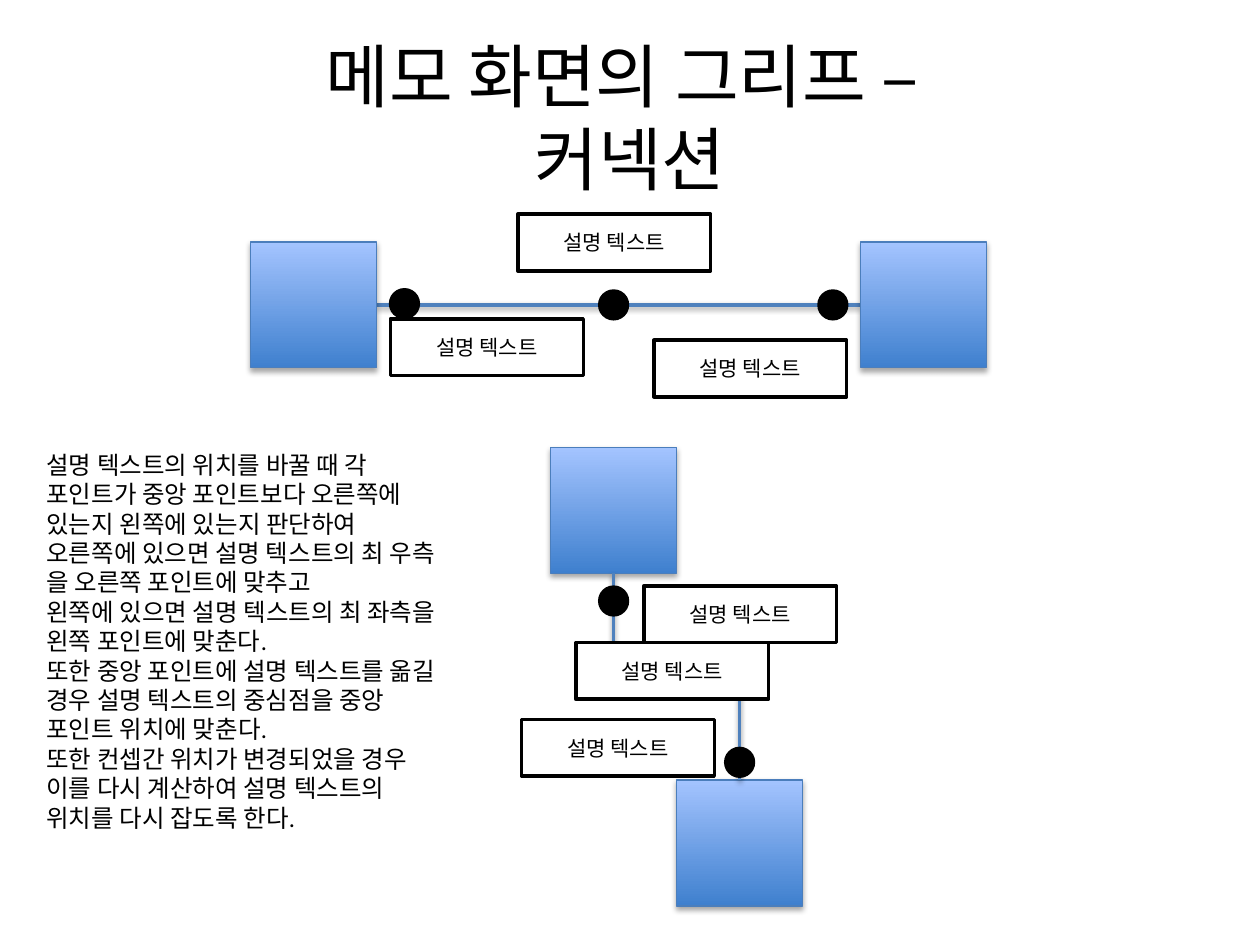
from pptx import Presentation
from pptx.dml.color import RGBColor
from pptx.enum import shapes, text
from pptx import util as u

BLACK = RGBColor(0x00, 0x00, 0x00)
WHITE = RGBColor(0xFF, 0xFF, 0xFF)
LINE_BLUE = RGBColor(0x4F, 0x81, 0xBD)
EDGE_BLUE = RGBColor(0x4B, 0x7E, 0xBC)
DEEP_BLUE = RGBColor(0x3F, 0x80, 0xCE)
PALE_BLUE = RGBColor(0xA4, 0xC4, 0xFF)

TITLE = "메모 화면의 그리프 – \v커넥션"
LABEL = "설명 텍스트"
NOTES = (
    "설명 텍스트의 위치를 바꿀 때 각 포인트가 중앙 포인트보다 오른쪽에 있는지 왼쪽에 있는지 판단하여",
    "오른쪽에 있으면 설명 텍스트의 최 우측 을 오른쪽 포인트에 맞추고",
    "왼쪽에 있으면 설명 텍스트의 최 좌측을 왼쪽 포인트에 맞춘다.",
    "또한 중앙 포인트에 설명 텍스트를 옮길 경우 설명 텍스트의 중심점을 중앙 포인트 위치에 맞춘다.",
    "또한 컨셉간 위치가 변경되었을 경우 이를 다시 계산하여 설명 텍스트의 위치를 다시 잡도록 한다.",
)


class ConnectionSlide:
    """Draws on a grid of 100 columns and 75 rows."""

    FONT = "Calibri"
    COLUMNS, ROWS = 100, 75
    SQUARE = 10
    POINT = 2.2
    LABEL_SIZE = (15.3, 4.5)

    def __init__(self, presentation):
        self.column = presentation.slide_width / self.COLUMNS
        self.row = presentation.slide_height / self.ROWS
        self.slide = presentation.slides.add_slide(presentation.slide_layouts[5])

    def place(self, column, row, *size):
        lengths = [column * self.column, row * self.row]
        if size:
            lengths += [size[0] * self.column, size[1] * self.row]
        return [u.Emu(round(length)) for length in lengths]

    def add_words(self, paragraph, words, size, alignment=None):
        paragraph.alignment = alignment
        for index, part in enumerate(words.split("\v")):
            if index:
                paragraph.add_line_break()
            run = paragraph.add_run()
            run.text = part
            run.font.name = self.FONT
            run.font.size = u.Pt(size)
            run.font.color.rgb = BLACK

    def title(self, words, *box):
        shape = self.slide.shapes.title
        shape.left, shape.top, shape.width, shape.height = self.place(*box)
        frame = shape.text_frame
        frame.auto_size = text.MSO_AUTO_SIZE.NONE
        frame.vertical_anchor = text.MSO_ANCHOR.MIDDLE
        self.add_words(frame.paragraphs[0], words, 39.6, text.PP_ALIGN.CENTER)

    def notes(self, sentences, *box):
        frame = self.slide.shapes.add_textbox(*self.place(*box)).text_frame
        frame.word_wrap = True
        frame.auto_size = text.MSO_AUTO_SIZE.SHAPE_TO_FIT_TEXT
        for index, sentence in enumerate(sentences):
            paragraph = frame.add_paragraph() if index else frame.paragraphs[0]
            self.add_words(paragraph, sentence, 14)

    def square(self, column, row):
        # The theme supplies the soft shadow
        shape = self.slide.shapes.add_shape(
            shapes.MSO_SHAPE.RECTANGLE,
            *self.place(column, row, self.SQUARE, self.SQUARE))
        shape.fill.gradient()
        shape.fill.gradient_angle = 90
        for stop, color in zip(shape.fill.gradient_stops, (DEEP_BLUE, PALE_BLUE)):
            stop.color.rgb = color
        shape.line.color.rgb = EDGE_BLUE
        shape.line.width = u.Pt(0.75)

    def outlined(self, kind, fill, *box):
        shape = self.slide.shapes.add_shape(kind, *self.place(*box))
        shape.shadow.inherit = False
        shape.fill.solid()
        shape.fill.fore_color.rgb = fill
        shape.line.color.rgb = BLACK
        shape.line.width = u.Pt(2)
        return shape

    def point(self, column, row):
        self.outlined(shapes.MSO_SHAPE.OVAL, BLACK, column, row, self.POINT, self.POINT)

    def label(self, column, row):
        shape = self.outlined(
            shapes.MSO_SHAPE.RECTANGLE, WHITE, column, row, *self.LABEL_SIZE)
        frame = shape.text_frame
        frame.vertical_anchor = text.MSO_ANCHOR.MIDDLE
        self.add_words(frame.paragraphs[0], LABEL, 12, text.PP_ALIGN.CENTER)

    def connect(self, kind, start, end):
        connector = self.slide.shapes.add_connector(
            kind, *self.place(*start), *self.place(*end))
        connector.line.color.rgb = LINE_BLUE
        connector.line.width = u.Pt(2)
        return connector

    def connect_down(self, start, end):
        # A mirrored elbow turned by 270 degrees leaves and arrives vertically
        middle_x, middle_y = (start[0] + end[0]) / 2, (start[1] + end[1]) / 2
        half_x, half_y = (end[1] - start[1]) / 2, (end[0] - start[0]) / 2
        connector = self.connect(
            shapes.MSO_CONNECTOR.ELBOW,
            (middle_x + half_x, middle_y - half_y),
            (middle_x - half_x, middle_y + half_y))
        connector.element.spPr.xfrm.set("rot", str(270 * 60000))


def main():
    presentation = Presentation()
    presentation.slide_width, presentation.slide_height = u.Inches(10), u.Inches(7.5)
    page = ConnectionSlide(presentation)
    page.title(TITLE, 5, 3, 90, 12.5)

    # Concepts and the lines between them
    page.connect(shapes.MSO_CONNECTOR.STRAIGHT, (29.9, 24.2), (68.3, 24.2))
    for corner in ((19.9, 19.2), (68.3, 19.2), (43.7, 35.5), (53.7, 61.9)):
        page.square(*corner)
    page.connect_down((48.7, 45.5), (58.7, 61.9))

    # Points on the lines
    for corner in ((31, 23), (47.6, 23.1), (65, 23.1), (57.6, 59.4), (47.6, 46.6)):
        page.point(*corner)

    # Explanation
    page.notes(NOTES, 2.7, 35.2, 34.4, 31.6)

    # Labels beside the points
    for corner in ((51.9, 27), (41.1, 17), (31, 25.3),
                   (51.1, 46.5), (41.4, 57.1), (45.7, 51)):
        page.label(*corner)

    presentation.save("out.pptx")


if __name__ == "__main__":
    main()
